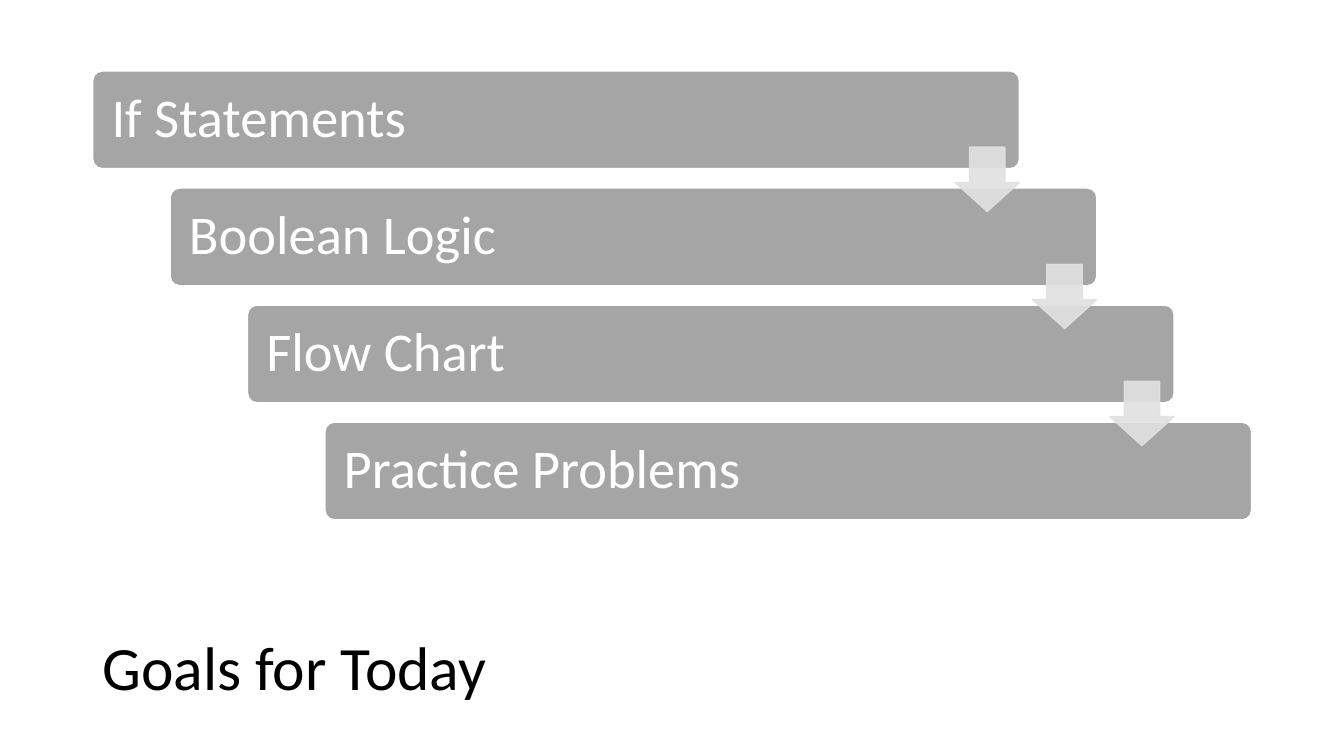
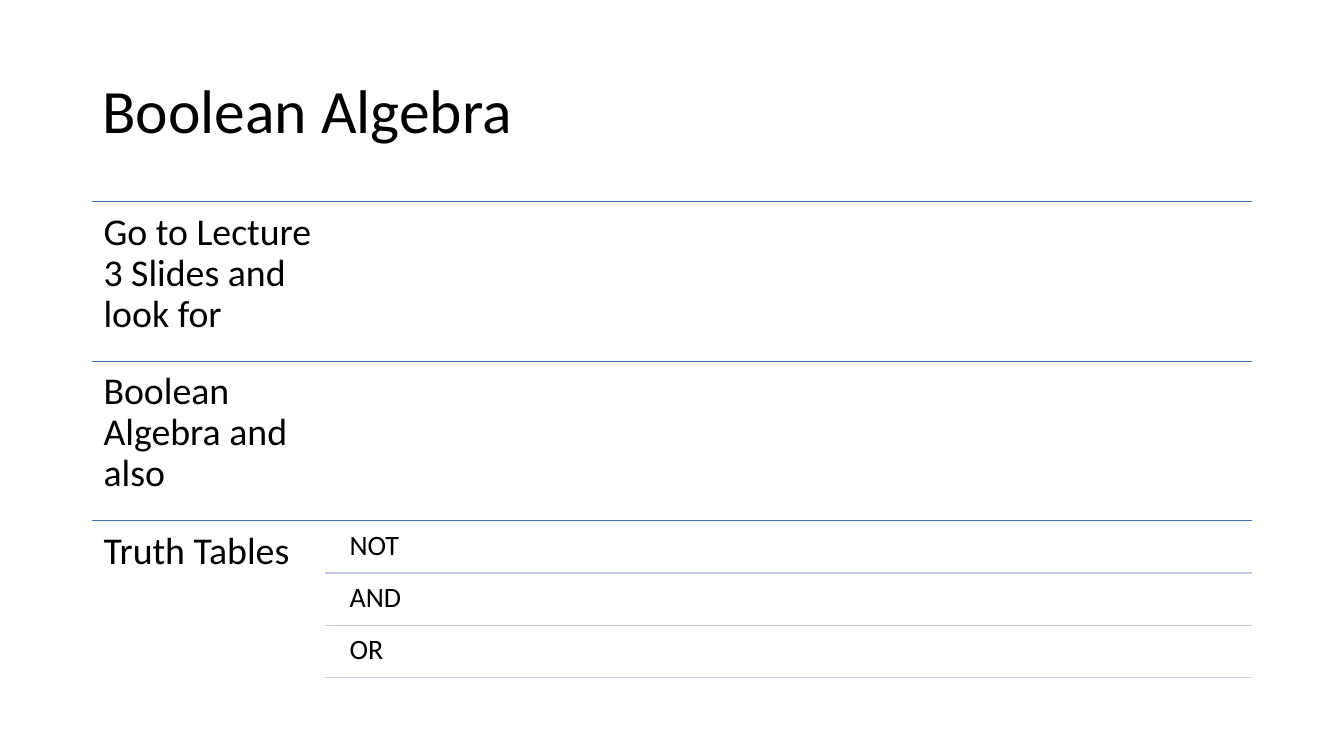
from lxml.etree import SubElement
from pptx import Presentation
from pptx.dml.color import RGBColor
from pptx.enum.shapes import MSO_CONNECTOR, MSO_SHAPE
from pptx.enum.text import MSO_ANCHOR, PP_ALIGN
from pptx.oxml.ns import qn
from pptx.util import Cm, Pt

GOALS_TITLE = "Goals for Today"
GOALS = ["If Statements", "Boolean Logic", "Flow Chart", "Practice Problems"]

ALGEBRA_TITLE = "Boolean Algebra"
ALGEBRA_ROWS = [
    ("Go to Lecture 3 Slides and look for", []),
    ("Boolean Algebra and also", []),
    ("Truth Tables", ["NOT", "AND", "OR"]),
]

FONT = "Calibri"
BLACK = "000000"
WHITE = "FFFFFF"
BAR_GREY = "A5A5A5"
ARROW_GREY = "E1E1E1"
RULE_BLUE = "4472C4"
RULE_PALE = "C1C9E4"

LEFT, CONTENT_WIDTH = 2.33, 29.21
RIGHT = LEFT + CONTENT_WIDTH

BAR_TOP, BAR_WIDTH, BAR_HEIGHT = 1.78, 23.37, 2.48
STEP_X, STEP_Y = 1.95, 2.95
ARROW_X, ARROW_Y, ARROW_SIZE = 21.74, 1.93, 1.62

ROW_TOP, ROW_HEIGHT, LABEL_WIDTH = 5.08, 4.02, 5.85
ITEM_INDENT, ITEM_GAP, ITEM_PITCH = 0.43, 0.06, 1.32


def color(hex_string):
    return RGBColor.from_string(hex_string)


def write(shape, text, size, ink=BLACK, anchor=MSO_ANCHOR.TOP, inset=0.25):
    frame = shape.text_frame
    frame.word_wrap = True
    frame.vertical_anchor = anchor
    frame.margin_left = frame.margin_right = Cm(inset)
    frame.margin_top = frame.margin_bottom = Cm(inset)
    paragraph = frame.paragraphs[0]
    paragraph.text = text
    paragraph.alignment = PP_ALIGN.LEFT
    paragraph.line_spacing = 0.9
    paragraph.font.name = FONT
    paragraph.font.size = Pt(size)
    paragraph.font.color.rgb = color(ink)


def add_text(slide, text, left, top, width, height, **style):
    box = slide.shapes.add_textbox(Cm(left), Cm(top), Cm(width), Cm(height))
    write(box, text, **style)


def add_title(slide, text, top, width, height):
    add_text(slide, text, LEFT, top, width, height, size=44, anchor=MSO_ANCHOR.MIDDLE)


def add_block(slide, kind, left, top, width, height, fill, line, line_width, adjustments):
    shape = slide.shapes.add_shape(kind, Cm(left), Cm(top), Cm(width), Cm(height))
    shape.shadow.inherit = False
    shape.fill.solid()
    shape.fill.fore_color.rgb = color(fill)
    shape.line.color.rgb = color(line)
    shape.line.width = Pt(line_width)
    for index, value in enumerate(adjustments):
        shape.adjustments[index] = value
    return shape


def set_opacity(shape, percent):
    for node in shape.element.spPr.iter(qn("a:srgbClr")):
        SubElement(node, qn("a:alpha"), val=str(percent * 1000))


def add_rule(slide, left, top, ink, width):
    rule = slide.shapes.add_connector(
        MSO_CONNECTOR.STRAIGHT, Cm(left), Cm(top), Cm(RIGHT), Cm(top))
    rule.line.color.rgb = color(ink)
    rule.line.width = Pt(width)
    SubElement(rule.element.spPr, qn("a:effectLst"))


def build_goals(slide):
    add_title(slide, GOALS_TITLE, 15.37, 22.43, 3.05)
    corners = [(LEFT + index * STEP_X, BAR_TOP + index * STEP_Y)
               for index in range(len(GOALS))]
    for goal, (left, top) in zip(GOALS, corners):
        bar = add_block(slide, MSO_SHAPE.ROUNDED_RECTANGLE, left, top, BAR_WIDTH,
                        BAR_HEIGHT, BAR_GREY, WHITE, 1.5, [0.1])
        write(bar, goal, size=39, ink=WHITE, anchor=MSO_ANCHOR.MIDDLE, inset=0.41)
    for left, top in corners[:-1]:
        arrow = add_block(slide, MSO_SHAPE.DOWN_ARROW, left + ARROW_X, top + ARROW_Y,
                          ARROW_SIZE, ARROW_SIZE, ARROW_GREY, ARROW_GREY, 1, [0.55, 0.45])
        set_opacity(arrow, 90)


def build_algebra(slide):
    add_title(slide, ALGEBRA_TITLE, 1.02, CONTENT_WIDTH, 3.68)
    items_left = LEFT + LABEL_WIDTH
    text_left = items_left + ITEM_INDENT
    for row, (label, items) in enumerate(ALGEBRA_ROWS):
        top = ROW_TOP + row * ROW_HEIGHT
        add_rule(slide, LEFT, top, RULE_BLUE, 0.5)
        add_text(slide, label, LEFT, top, LABEL_WIDTH, ROW_HEIGHT, size=27, inset=0.28)
        for index, item in enumerate(items):
            item_top = top + index * ITEM_PITCH
            add_text(slide, item, text_left, item_top + ITEM_GAP, RIGHT - text_left,
                     ITEM_PITCH - ITEM_GAP, size=20, inset=0.2)
            add_rule(slide, items_left, item_top + ITEM_PITCH, RULE_PALE, 1)


def main():
    presentation = Presentation()
    presentation.slide_width = Cm(33.87)
    presentation.slide_height = Cm(19.05)
    for build in (build_goals, build_algebra):
        build(presentation.slides.add_slide(presentation.slide_layouts[6]))
    presentation.save("out.pptx")


if __name__ == "__main__":
    main()
